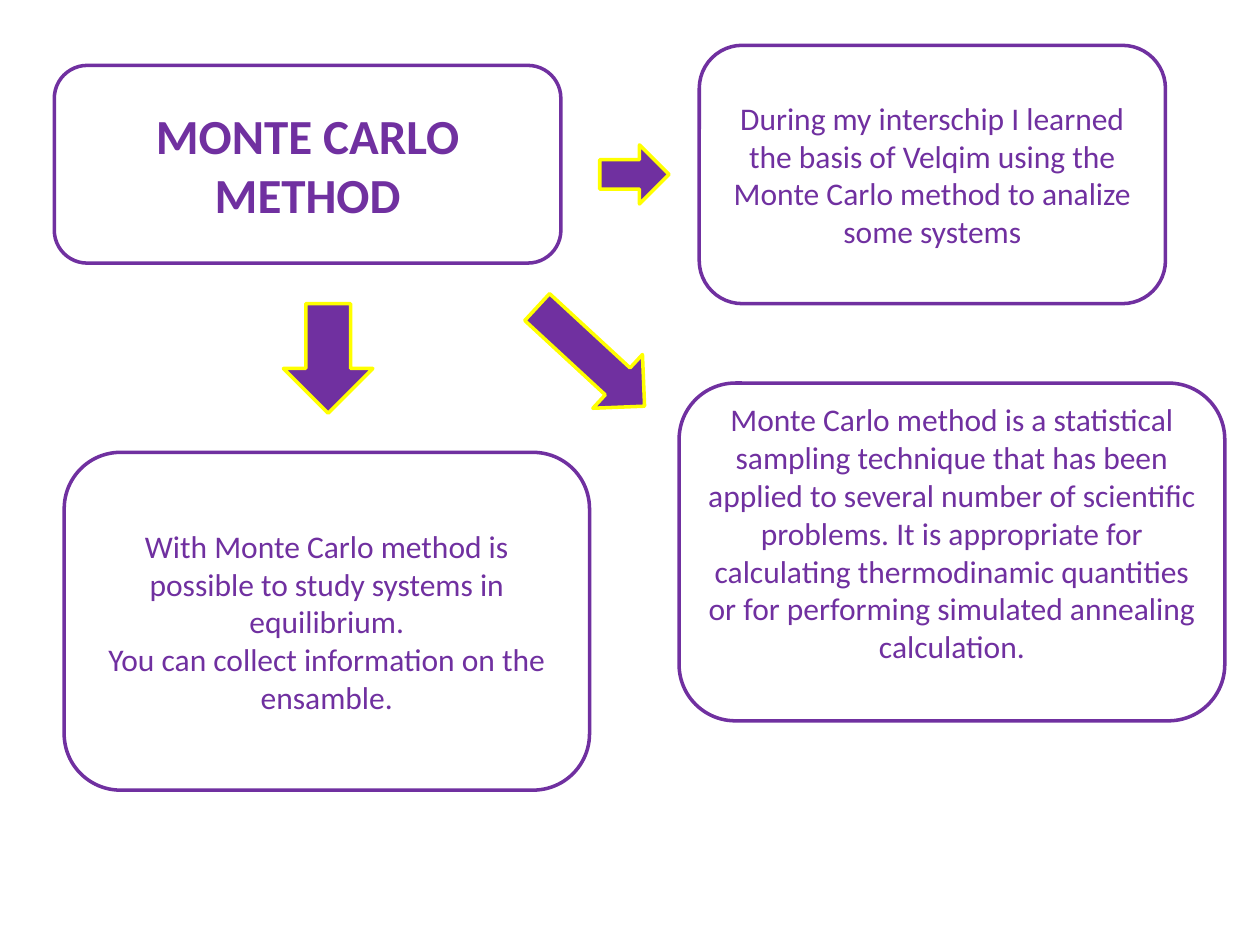
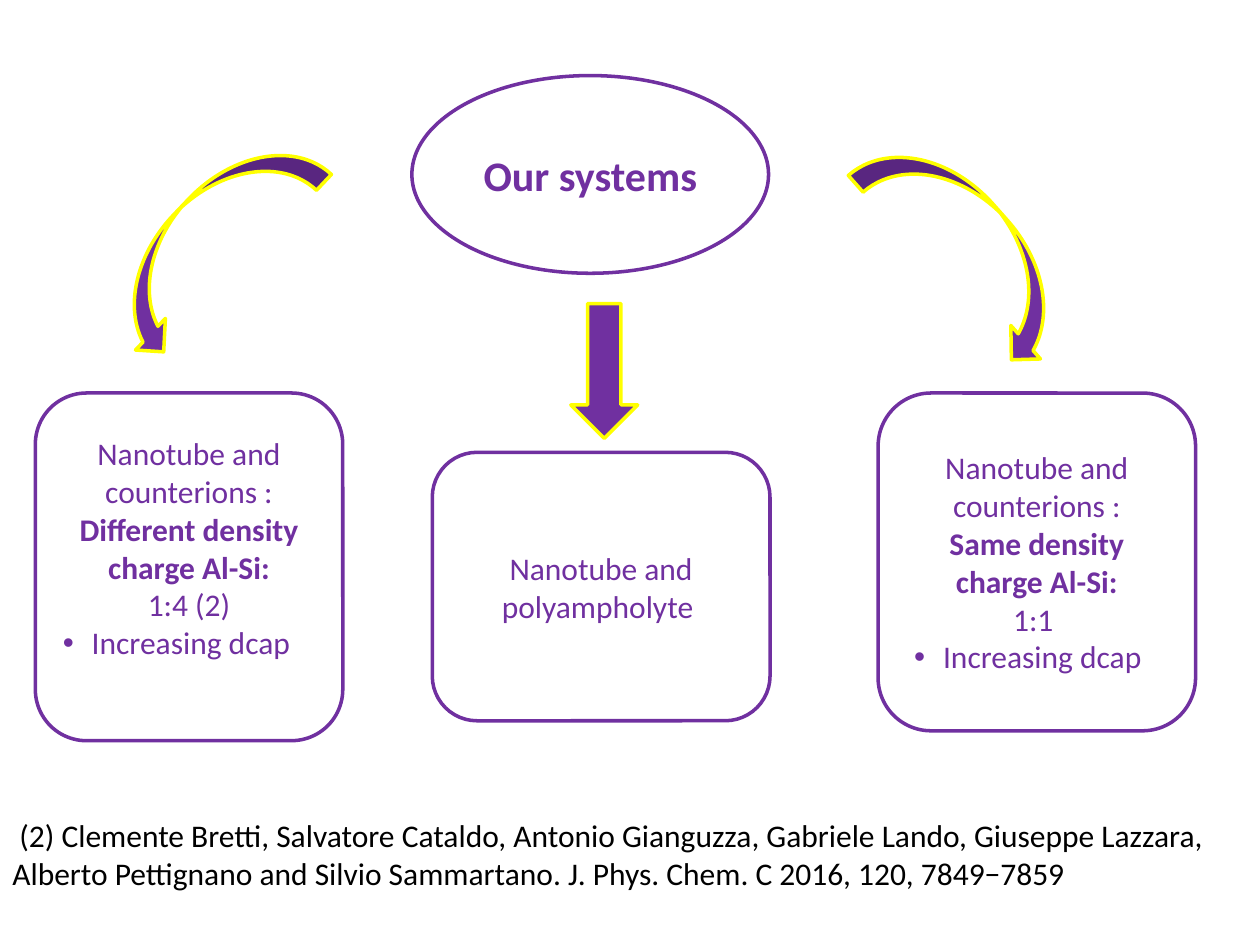
from dataclasses import dataclass

import lxml.etree
import pptx
import pptx.dml.color
import pptx.enum.shapes
import pptx.enum.text
import pptx.oxml.ns
import pptx.util

Pt = pptx.util.Pt
RGB = pptx.dml.color.RGBColor
SHAPE = pptx.enum.shapes.MSO_SHAPE
ALIGN = pptx.enum.text.PP_ALIGN


@dataclass(frozen=True)
class Theme:
    font: str = "Calibri"
    purple: RGB = RGB(0x70, 0x30, 0xA0)
    yellow: RGB = RGB(0xFF, 0xFF, 0x00)
    white: RGB = RGB(0xFF, 0xFF, 0xFF)
    black: RGB = RGB(0x00, 0x00, 0x00)
    method_title: int = 28
    systems_title: int = 24
    body: int = 18
    outline: int = 2
    bullet_margin: float = 5.5
    bullet_hang: float = 16.5


THEME = Theme()
LINE_HEIGHT = 22


@dataclass(frozen=True)
class Line:
    text: str
    bold: bool = False
    bullet: bool = False


def add_outlined(slide, kind, frame, fill, outline):
    shape = slide.shapes.add_shape(kind, *map(Pt, frame))
    shape.shadow.inherit = False
    shape.fill.solid()
    shape.fill.fore_color.rgb = fill
    shape.line.color.rgb = outline
    shape.line.width = Pt(THEME.outline)
    return shape


def add_arrow(slide, kind, frame, rotation=0):
    arrow = add_outlined(slide, kind, frame, THEME.purple, THEME.yellow)
    arrow.rotation = rotation


def set_bullet(paragraph):
    properties = paragraph._p.get_or_add_pPr()
    properties.set("marL", str(Pt(THEME.bullet_margin)))
    properties.set("indent", str(-Pt(THEME.bullet_hang)))
    for tag, attribute, value in (("a:buFont", "typeface", "Arial"), ("a:buChar", "char", "•")):
        mark = lxml.etree.SubElement(properties, pptx.oxml.ns.qn(tag))
        mark.set(attribute, value)


def write_lines(text_frame, lines, size, color, align):
    text_frame.word_wrap = True
    for number, line in enumerate(lines):
        paragraph = text_frame.add_paragraph() if number else text_frame.paragraphs[0]
        paragraph.text = line.text
        paragraph.alignment = align
        font = paragraph.font
        font.name, font.size, font.bold = THEME.font, Pt(size), line.bold
        font.color.rgb = color
        if line.bullet:
            set_bullet(paragraph)


def add_box(slide, frame, lines, raised=False):
    """Rounded box with centred text; raised lifts the text by half a line."""
    box = add_outlined(slide, SHAPE.ROUNDED_RECTANGLE, frame, THEME.white, THEME.purple)
    text_frame = box.text_frame
    text_frame.vertical_anchor = pptx.enum.text.MSO_ANCHOR.MIDDLE
    if raised:
        text_frame.margin_top = 0
        text_frame.margin_bottom = Pt(LINE_HEIGHT)
    write_lines(text_frame, lines, THEME.body, THEME.purple, ALIGN.CENTER)


def add_title(slide, kind, frame, text, size):
    """Title placeholder brought in front of an outlined shape of the same size."""
    add_outlined(slide, kind, frame, THEME.white, THEME.purple)
    title = slide.shapes.title
    title.left, title.top, title.width, title.height = map(Pt, frame)
    title.text_frame.auto_size = pptx.enum.text.MSO_AUTO_SIZE.NONE
    title.text_frame.vertical_anchor = pptx.enum.text.MSO_ANCHOR.MIDDLE
    write_lines(title.text_frame, [Line(text, bold=True)], size, THEME.purple, ALIGN.CENTER)
    slide.shapes._spTree.append(title._element)


def add_reference(slide, frame, lines):
    reference = slide.shapes.add_textbox(*map(Pt, frame))
    write_lines(reference.text_frame, lines, THEME.body, THEME.black, ALIGN.LEFT)


def counterion_lines(density, ratio, trend):
    return [
        Line("Nanotube and counterions :"),
        Line(f"{density} density charge Al-Si:", bold=True),
        Line(ratio),
        Line(trend, bullet=True),
    ]


def build_method(slide):
    add_title(slide, SHAPE.ROUNDED_RECTANGLE, (31, 37.4, 289.5, 113),
              "MONTE CARLO METHOD", THEME.method_title)
    add_arrow(slide, SHAPE.RIGHT_ARROW, (342.7, 82.8, 39.6, 33.8))
    add_box(slide, (399.6, 25.9, 266.4, 147.6), [
        Line("During my interschip I learned the basis of Velqim using the "
             "Monte Carlo method to analize some systems")])
    add_arrow(slide, SHAPE.RIGHT_ARROW, (295.9, 182.9, 83.5, 41.8), 42.7)
    add_box(slide, (388.1, 218.9, 311.8, 193), [
        Line("Monte Carlo method is a statistical sampling technique that has been "
             "applied to several number of scientific problems. It is appropriate for "
             "calculating thermodinamic quantities or for performing simulated "
             "annealing calculation.")], raised=True)
    add_arrow(slide, SHAPE.RIGHT_ARROW, (156.2, 179.3, 62.6, 51.1), 90)
    add_box(slide, (36.7, 258.5, 300.2, 193), [
        Line("With Monte Carlo method is possible to study systems in equilibrium."),
        Line("You can collect information on the ensamble.")])


def build_systems(slide):
    add_title(slide, SHAPE.OVAL, (235.4, 43.2, 203.8, 113),
              "Our systems", THEME.systems_title)
    add_arrow(slide, SHAPE.CURVED_RIGHT_ARROW, (94.3, 61.9, 49.7, 151.9), 43.4)
    add_arrow(slide, SHAPE.CURVED_LEFT_ARROW, (529.2, 64.1, 51.1, 153.4), 318.5)
    add_arrow(slide, SHAPE.DOWN_ARROW, (326.2, 173.5, 38.2, 77))
    add_box(slide, (20.2, 224.6, 175.7, 198.7),
            counterion_lines("Different", "1:4 (2)", "Increasing dcap "), raised=True)
    add_box(slide, (501.8, 224.6, 181.4, 193),
            counterion_lines("Same", "1:1 ", "Increasing dcap"))
    add_box(slide, (247, 258.5, 193, 153.4), [Line("Nanotube and polyampholyte ")])
    add_reference(slide, (0, 463, 720, 51), [
        Line(" (2) Clemente Bretti, Salvatore Cataldo, Antonio Gianguzza, "
             "Gabriele Lando, Giuseppe Lazzara,"),
        Line("Alberto Pettignano and Silvio Sammartano. "
             "J. Phys. Chem. C 2016, 120, 7849−7859")])


def main():
    presentation = pptx.Presentation()
    presentation.slide_width, presentation.slide_height = Pt(720), Pt(540)
    title_only = presentation.slide_layouts[5]
    for build in (build_method, build_systems):
        build(presentation.slides.add_slide(title_only))
    presentation.save("out.pptx")


if __name__ == "__main__":
    main()
